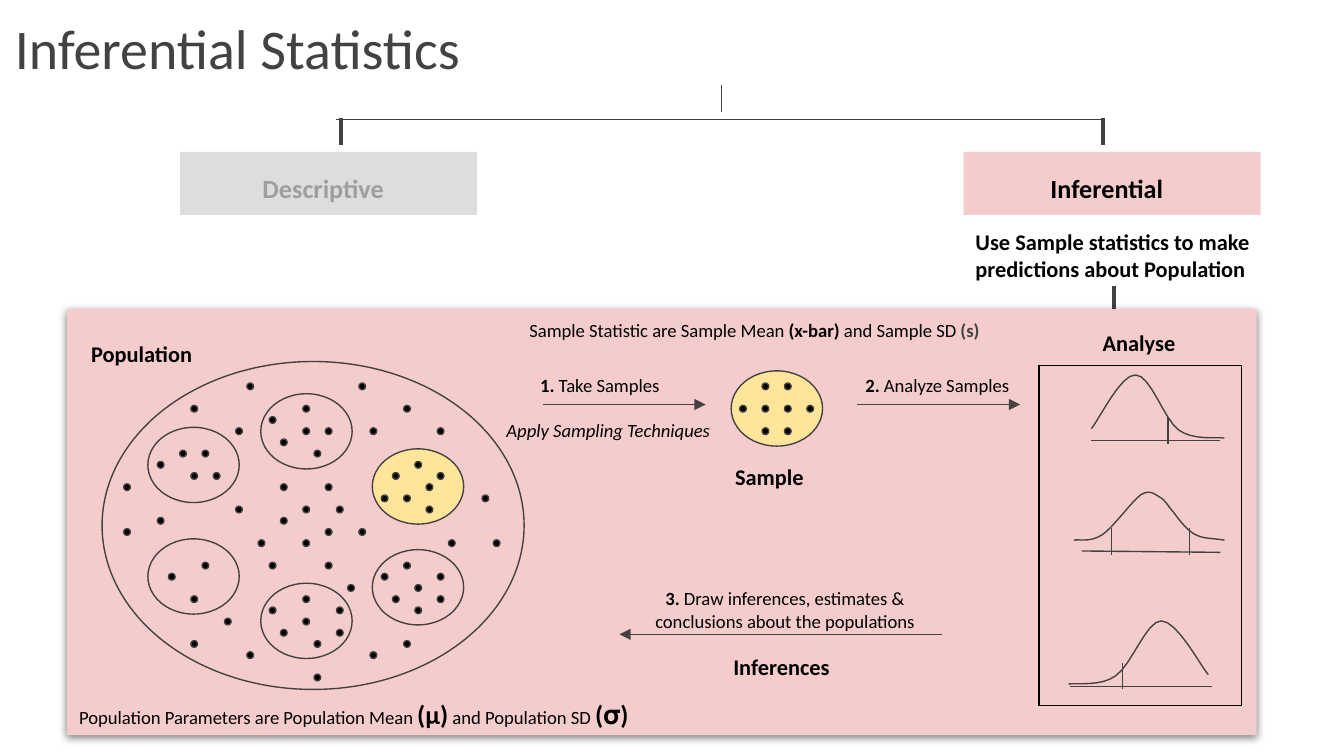
from dataclasses import dataclass

from lxml import etree
from pptx import Presentation
from pptx.dml.color import RGBColor
from pptx.enum.shapes import MSO_CONNECTOR, MSO_SHAPE
from pptx.enum.text import MSO_ANCHOR, MSO_AUTO_SIZE, PP_ALIGN
from pptx.oxml.ns import qn
from pptx.util import Inches, Pt


@dataclass(frozen=True)
class Theme:
    font: str = "Calibri"
    ink: str = "000000"
    dark: str = "424242"
    muted: str = "9E9E9E"
    grey: str = "DDDDDD"
    pink: str = "F4CCCC"
    yellow: str = "FFE599"
    white: str = "FFFFFF"
    title: int = 30
    head: int = 14
    label: int = 12
    body: int = 10
    thin: float = 0.75
    thick: float = 2.25


T = Theme()
LEFT, CENTER = PP_ALIGN.LEFT, PP_ALIGN.CENTER
RECT, OVAL = MSO_SHAPE.RECTANGLE, MSO_SHAPE.OVAL

# --- Content: a run is (text, style, size, colour); style holds b and i ---
TITLE = [[("Inferential Statistics", "", T.title, T.dark)]]


def bold(text, size=T.label, color=T.ink):
    return (text, "b", size, color)


def plain(text):
    return (text, "", T.body, T.ink)


BRANCHES = [  # left, box fill, text
    (1.34, T.grey, bold("Descriptive", T.head, T.muted)),
    (7.17, T.pink, bold("Inferential", T.head)),
]
PURPOSE = [[bold("Use Sample statistics to make")], [bold("predictions about Population")]]

TEXTS = [  # left, top, width, alignment, paragraphs
    (0.58, 2.43, 1.47, LEFT, [[bold("Population")]]),
    (4.99, 3.35, 1.47, CENTER, [[bold("Sample")]]),
    (7.74, 2.35, 1.47, CENTER, [[bold("Analyse")]]),
    (5.08, 4.76, 1.47, CENTER, [[bold("Inferences")]]),
    (0.49, 5.1, 4.58, LEFT, [[
        plain("Population Parameters are Population Mean "), bold("(μ)", T.head),
        plain(" and Population SD "), bold("(𝛔)", T.head)]]),
    (3.84, 2.27, 4.21, LEFT, [[
        plain("Sample Statistic are Sample Mean "), bold("(x-bar)", T.body),
        plain(" and Sample SD "), bold("(s)", T.body, T.dark)]]),
    (3.92, 2.68, 1.39, LEFT, [[bold("1.", T.body), plain(" Take Samples")]]),
    (6.34, 2.68, 1.39, LEFT, [[bold("2.", T.body), plain(" Analyze Samples")]]),
    (4.67, 4.27, 2.34, CENTER, [[
        bold("3.", T.body),
        plain(" Draw inferences, estimates & conclusions about the populations")]]),
    (3.67, 3.02, 1.92, LEFT, [[("Apply Sampling Techniques", "i", T.body, T.ink)]]),
]

TREE = [  # x1, y1, x2, y2, weight
    (5.37, 0.63, 5.37, 0.83, T.thin),
    (2.5, 0.89, 8.22, 0.89, T.thin),
    (2.54, 0.88, 2.54, 1.08, T.thick),
    (8.21, 0.88, 8.21, 1.08, T.thick),
    (8.29, 2.13, 8.29, 2.58, T.thick),
]
ARROWS = [(4.04, 3.01, 5.25, 3.01), (6.38, 3.01, 7.59, 3.01), (7.01, 4.72, 4.61, 4.72)]

CLUSTERS = [(1.94, 2.93), (1.1, 3.18), (1.1, 4.01), (1.94, 4.34), (2.77, 4.09)]
CHOSEN = [(2.77, 3.34), (5.44, 2.76)]  # the cluster picked, and the sample it becomes

# Dots sit on a grid of 1/12 inch: row -> columns
DOT_ORIGIN, DOT_STEP, DOT_SIZE = (0.92, 2.85), 1 / 12, 0.05
DOTS = {
    0: (11, 21, 57, 59), 2: (6, 16, 25, 55, 57, 59, 61), 3: (13,),
    4: (10, 16, 18, 22, 28, 57, 59), 5: (14,), 6: (5, 7, 17), 7: (3, 26),
    8: (6, 8, 24, 28), 9: (0, 14, 18, 27), 10: (23, 25, 32),
    11: (10, 16, 19, 27), 12: (3, 14), 13: (0, 18, 21), 14: (12, 16, 29, 33),
    16: (7, 13, 18, 25), 17: (4, 23, 28), 18: (20, 26), 19: (6, 16, 24, 28),
    20: (13, 19, 26), 21: (9, 16), 22: (14, 19), 23: (6, 17, 25),
    24: (11, 22), 26: (17,),
}

# Bell curves: Bezier points (start, then three per piece), axis, cut-offs (x, top)
CURVES = [
    ([(8.12, 3.19), (8.18, 3.12), (8.34, 2.78), (8.45, 2.79), (8.56, 2.79), (8.66, 3.12),
      (8.77, 3.2), (8.88, 3.28), (9.06, 3.25), (9.11, 3.26)],
     (8.12, 3.28, 9.08, 3.28), [(8.69, 3.1)]),
    ([(7.99, 4.02), (8.02, 4.01), (8.11, 4.04), (8.2, 3.98), (8.28, 3.93), (8.42, 3.73),
      (8.49, 3.68), (8.56, 3.64), (8.59, 3.68), (8.63, 3.7), (8.67, 3.72), (8.7, 3.78),
      (8.73, 3.81), (8.76, 3.85), (8.79, 3.89), (8.82, 3.92), (8.85, 3.95), (8.87, 3.97),
      (8.92, 3.99), (8.97, 4.01), (9.08, 4.01), (9.11, 4.02)],
     (8.05, 4.1, 9.08, 4.11), [(8.27, 3.93), (8.85, 3.93)]),
    ([(8.99, 5.02), (8.93, 4.95), (8.76, 4.62), (8.64, 4.62), (8.53, 4.62), (8.42, 4.95),
      (8.3, 5.03), (8.19, 5.11), (8.01, 5.08), (7.95, 5.09)],
     (7.96, 5.11, 9.02, 5.11), [(8.35, 4.93)]),
]
CUT_HEIGHT = 0.2


# --- Drawing helpers ---
def rgb(color):
    return RGBColor.from_string(color)


def paint(sp, fill=None, line=None):
    sp.shadow.inherit = False
    if fill:
        sp.fill.solid()
        sp.fill.fore_color.rgb = rgb(fill)
    else:
        sp.fill.background()
    if line:
        sp.line.color.rgb = rgb(line)
        sp.line.width = Pt(T.thin)
    else:
        sp.line.fill.background()
    return sp


def add_shape(shapes, kind, x, y, w, h, fill=None, line=None):
    return paint(shapes.add_shape(kind, *map(Inches, (x, y, w, h))), fill, line)


def add_line(shapes, x1, y1, x2, y2, weight=T.thin, arrow=False):
    c = shapes.add_connector(MSO_CONNECTOR.STRAIGHT, *map(Inches, (x1, y1, x2, y2)))
    c.line.color.rgb = rgb(T.dark)
    c.line.width = Pt(weight)
    if arrow:
        etree.SubElement(c.line._get_or_add_ln(), qn("a:tailEnd"), type="triangle")
    etree.SubElement(c._element.spPr, qn("a:effectLst"))


def write(tf, paragraphs, align=LEFT):
    tf.word_wrap = True
    tf.auto_size = MSO_AUTO_SIZE.NONE
    tf.margin_left = tf.margin_right = tf.margin_top = tf.margin_bottom = Inches(0.1)
    for i, runs in enumerate(paragraphs):
        p = tf.add_paragraph() if i else tf.paragraphs[0]
        p.alignment = align
        for text, style, size, color in runs:
            r = p.add_run()
            r.text = text
            r.font.name, r.font.size = T.font, Pt(size)
            r.font.bold, r.font.italic = "b" in style, "i" in style
            r.font.color.rgb = rgb(color)


def add_text(shapes, x, y, w, align, paragraphs):
    write(shapes.add_textbox(*map(Inches, (x, y, w, 0.36))).text_frame, paragraphs, align)


def add_shadow(sp):
    effects = sp._element.spPr.find(qn("a:effectLst"))
    shadow = etree.SubElement(effects, qn("a:outerShdw"), blurRad=str(Pt(4.5)),
                              dist=str(Pt(1.5)), dir="5400000", algn="bl", rotWithShape="0")
    color = etree.SubElement(shadow, qn("a:srgbClr"), val=T.ink)
    etree.SubElement(color, qn("a:alpha"), val="50000")


def add_curve(shapes, pts, steps=8):
    dots = []
    for i in range(0, len(pts) - 1, 3):
        for t in (k / steps for k in range(1, steps + 1)):
            weights = ((1 - t) ** 3, 3 * t * (1 - t) ** 2, 3 * t * t * (1 - t), t ** 3)
            dots.append([Inches(sum(w * pt[axis] for w, pt in zip(weights, pts[i:i + 4])))
                         for axis in (0, 1)])
    fb = shapes.build_freeform(*map(Inches, pts[0]), scale=1.0)
    fb.add_line_segments(dots, close=False)
    paint(fb.convert_to_shape(), line=T.dark)


# --- Slide (16:9) and title ---
prs = Presentation()
prs.slide_width = Inches(10)
prs.slide_height = prs.slide_width * 9 // 16
s = prs.slides.add_slide(prs.slide_layouts[5])
title = s.shapes.title
title.left, title.top, title.width, title.height = map(Inches, (0.01, 0.07, 5.22, 0.63))
title.fill.solid()
title.fill.fore_color.rgb = rgb(T.white)
write(title.text_frame, TITLE)
title.text_frame.vertical_anchor = MSO_ANCHOR.BOTTOM

# --- Branches of statistics ---
for x, fill, run in BRANCHES:
    add_shape(s.shapes, RECT, x, 1.13, 2.21, 0.47, fill)
    add_text(s.shapes, x - 0.01, 1.18, 2.15, CENTER, [[run]])
for *ends, weight in TREE:
    add_line(s.shapes, *ends, weight)
add_text(s.shapes, 7.16, 1.6, 2.4, LEFT, PURPOSE)

# --- Panel with population, clusters and sample ---
add_shadow(add_shape(s.shapes, RECT, 0.5, 2.3, 8.85, 3.17, T.pink))
add_shape(s.shapes, OVAL, 0.76, 2.69, 3.14, 2.44, line=T.dark)
for spots, fill in ((CLUSTERS, None), (CHOSEN, T.yellow)):
    for x, y in spots:
        add_shape(s.shapes, OVAL, x, y, 0.68, 0.56, fill, T.dark)
for row, cols in DOTS.items():
    for col in cols:
        add_shape(s.shapes, OVAL, DOT_ORIGIN[0] + col * DOT_STEP,
                  DOT_ORIGIN[1] + row * DOT_STEP, DOT_SIZE, DOT_SIZE, T.ink, T.dark)
for ends in ARROWS:
    add_line(s.shapes, *ends, arrow=True)

# --- Analysis frame with bell curves ---
analysis = s.shapes.add_group_shape().shapes
add_shape(analysis, RECT, 7.73, 2.72, 1.51, 2.53, line=T.ink)
for pts, axis, cuts in CURVES:
    add_curve(analysis, pts)
    add_line(analysis, *axis)
    for x, top in cuts:
        add_line(analysis, x, top, x, top + CUT_HEIGHT)

# --- Labels ---
for label in TEXTS:
    add_text(s.shapes, *label)

prs.save("out.pptx")
